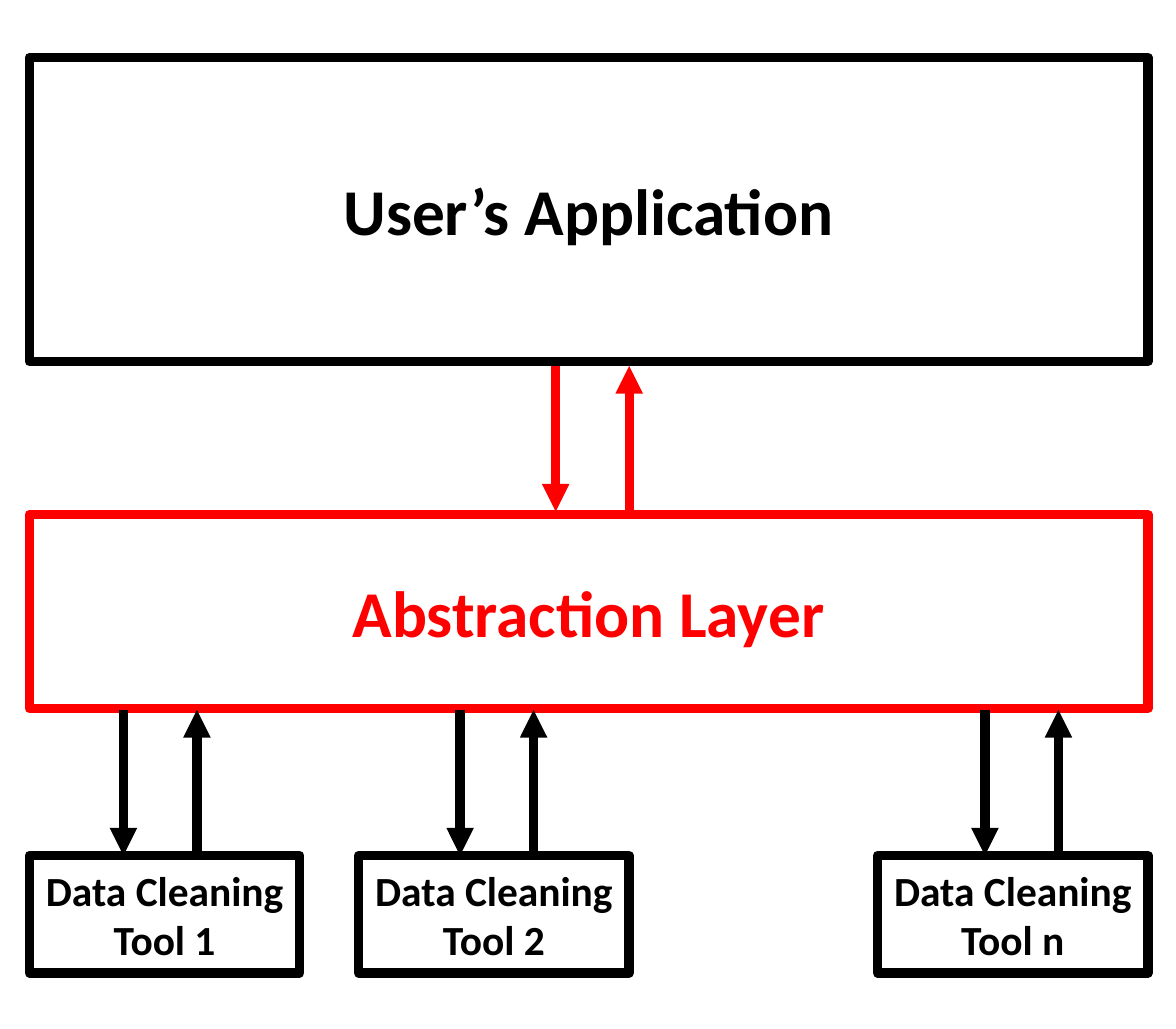
from typing import NamedTuple

from lxml import etree
from pptx import Presentation
from pptx.dml.color import RGBColor
from pptx.enum import shapes, text
from pptx.oxml import ns
from pptx.util import Inches, Pt

BLACK = RGBColor(0x00, 0x00, 0x00)
RED = RGBColor(0xFF, 0x00, 0x00)
FONT = "Calibri"
LINE_WIDTH = Pt(4.5)
ARROW_GAP = 0.5  # between the downward and the upward arrow of a pair


class Block(NamedTuple):
    label: str
    left: float
    top: float
    width: float
    height: float
    size: float
    color: RGBColor


class ArrowPair(NamedTuple):
    left: float
    top: float
    bottom: float
    color: RGBColor


def draw_block(page, block: Block) -> None:
    """Draw an outlined rectangle with a centred bold label."""
    box = page.shapes.add_shape(
        shapes.MSO_SHAPE.RECTANGLE, Inches(block.left), Inches(block.top),
        Inches(block.width), Inches(block.height))
    box.shadow.inherit = False
    box.fill.background()
    box.line.color.rgb = block.color
    box.line.width = LINE_WIDTH

    frame = box.text_frame
    frame.word_wrap = True
    frame.vertical_anchor = text.MSO_ANCHOR.MIDDLE
    frame.margin_left = frame.margin_right = Inches(0.08)
    frame.margin_top = frame.margin_bottom = Inches(0.04)
    frame.text = block.label
    para = frame.paragraphs[0]
    para.alignment = text.PP_ALIGN.CENTER
    font = para.runs[0].font
    font.name, font.size, font.bold = FONT, Pt(block.size), True
    font.color.rgb = block.color


def draw_arrow(page, x: float, start: float, end: float, color: RGBColor) -> None:
    """Draw a vertical arrow pointing at end."""
    arrow = page.shapes.add_connector(
        shapes.MSO_CONNECTOR.STRAIGHT,
        Inches(x), Inches(start), Inches(x), Inches(end))
    arrow.line.color.rgb = color
    arrow.line.width = LINE_WIDTH
    etree.SubElement(arrow.line._get_or_add_ln(), ns.qn("a:tailEnd"), type="triangle")
    etree.SubElement(arrow._element.spPr, ns.qn("a:effectLst"))


def draw_pair(page, pair: ArrowPair) -> None:
    """Draw a downward arrow and, to its right, an upward one."""
    draw_arrow(page, pair.left, pair.top, pair.bottom, pair.color)
    draw_arrow(page, pair.left + ARROW_GAP, pair.bottom, pair.top, pair.color)


deck = Presentation()
deck.slide_width, deck.slide_height = Inches(8), Inches(7)
page = deck.slides.add_slide(deck.slide_layouts[6])

# Application and abstraction layer
LAYERS = [
    Block("User’s Application", 0.2, 0.39, 7.61, 2.07, 32, BLACK),
    Block("Abstraction Layer", 0.2, 3.5, 7.61, 1.32, 32, RED),
]

# Cleaning tools: number, box left, left of its arrow pair
TOOL_TOP = 5.82
TOOLS = [("1", 0.2, 0.84), ("2", 2.44, 3.13), ("n", 5.97, 6.7)]
tool_blocks = [
    Block(f"Data Cleaning Tool {number}", left, TOOL_TOP, 1.84, 0.8, 20.3, BLACK)
    for number, left, _ in TOOLS
]
for block in LAYERS + tool_blocks:
    draw_block(page, block)

# Arrows between the levels
pairs = [ArrowPair(left, 4.83, TOOL_TOP, BLACK) for _, _, left in TOOLS]
pairs.append(ArrowPair(3.78, 2.49, 3.48, RED))
for pair in pairs:
    draw_pair(page, pair)

deck.save("out.pptx")
